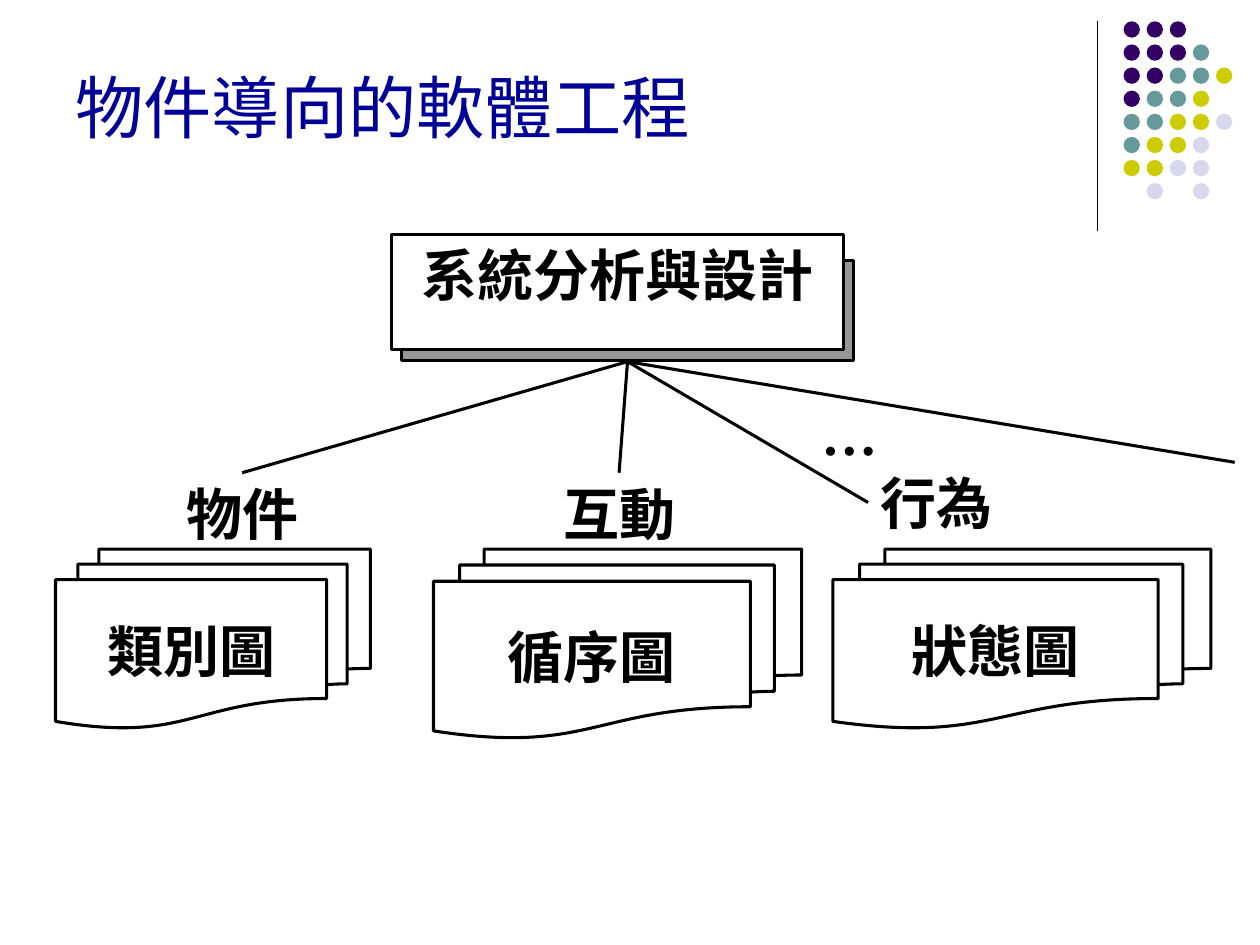
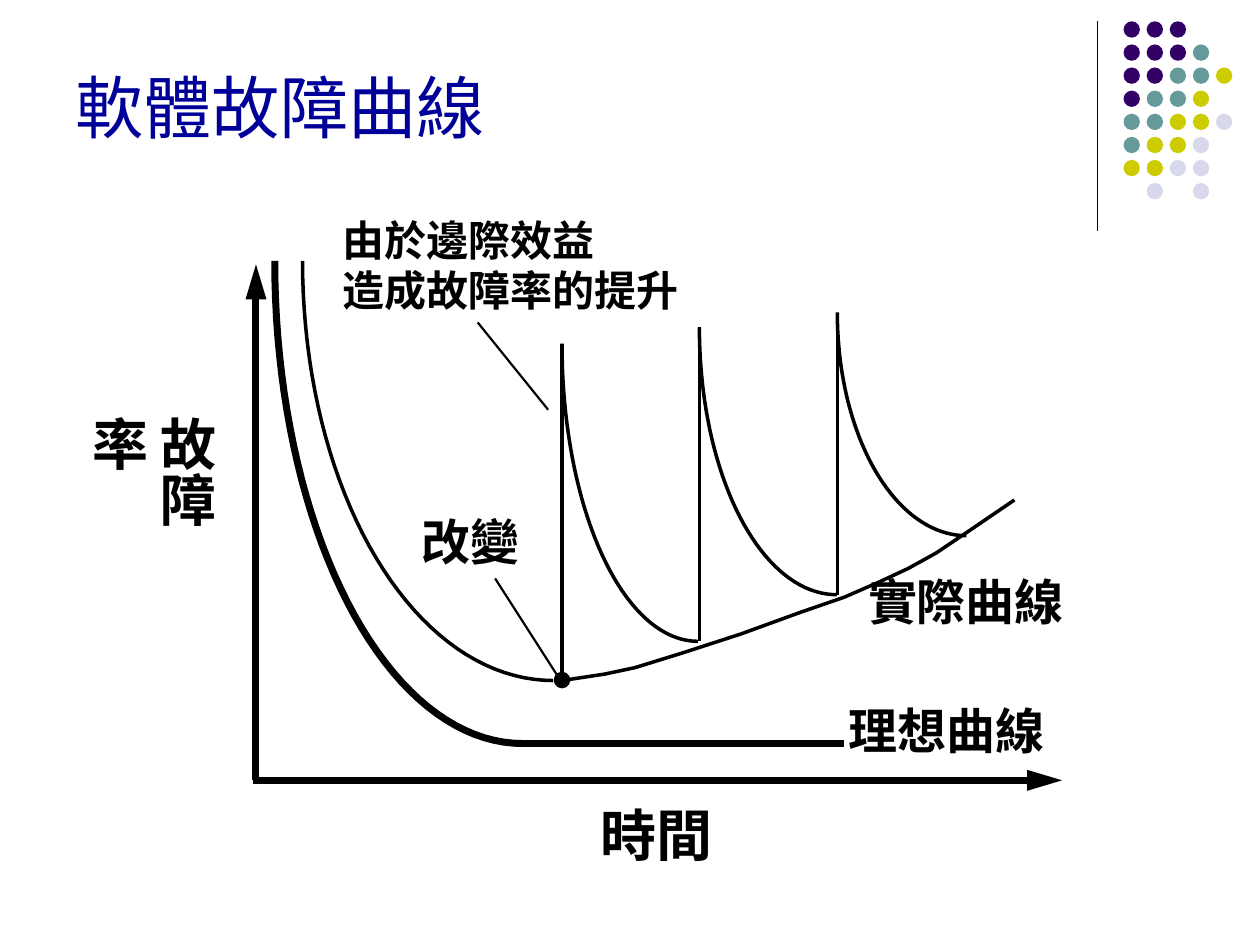
from dataclasses import dataclass
from math import cos, pi, sin
from typing import NamedTuple

from lxml import etree
from pptx import Presentation
from pptx.dml.color import RGBColor
from pptx.enum.shapes import MSO_CONNECTOR as Link, MSO_SHAPE as Preset
from pptx.enum.text import MSO_ANCHOR as Anchor, PP_ALIGN as Align
from pptx.oxml.ns import qn
from pptx.util import Cm, Pt


@dataclass(frozen=True)
class Theme:
    black: str = "000000"
    white: str = "FFFFFF"
    title: str = "000099"
    shadow: str = "969696"
    dots: tuple = ("330066", "669999", "CCCC00", "D8D8EC")
    sans: str = "Arial"
    serif: str = "Times New Roman"
    cjk: str = "Noto Sans CJK SC"
    title_size: float = 39
    large: float = 32
    medium: float = 28
    small: float = 24
    hairline: float = 0.75
    leader: float = 1.25
    outline: float = 1.75
    curve: float = 2
    heavy: float = 4


T = Theme()


class Point(NamedTuple):
    x: float
    y: float


class Box(NamedTuple):
    x: float
    y: float
    w: float
    h: float

    def lengths(self) -> list:
        return [Cm(v) for v in self]


class Style(NamedTuple):
    font: str = T.sans
    size: float = T.large
    color: str = T.black
    bold: bool = True
    east_asian: str = T.sans


class Label(NamedTuple):
    text: str
    box: Box
    style: Style


class Spike(NamedTuple):
    """A jump of the failure rate, then its decay to the point end."""
    top: Point
    bottom: float
    end: Point


SERIF = Style(font=T.serif)
TITLE = Style(T.cjk, T.title_size, T.title, False, T.cjk)
CURVE_LABEL = Style(size=T.medium)

TITLE_BOX = Box(1.27, 0.36, 20.62, 3.58)
DOT_ROWS = ("000", "0001", "00112", "0112", "11223", "1223", "2233", " 3 3")
DOT_PITCH = 3.26 / 7
DOT_ORIGIN = Point(22.65, 0.43)
DOT_SIZE = 0.33

HUB = Point(12.65, 7.29)
BRANCH_ENDS = (Point(12.48, 9.53), Point(4.88, 9.53),
               Point(17.5, 10.13), Point(24.89, 9.32))
VIEWS = (
    Label("互動", Box(11.11, 9.53, 2.77, 1.63), SERIF),
    Label("物件", Box(3.51, 9.53, 2.77, 1.63), SERIF),
    Label("行為", Box(17.5, 9.32, 2.77, 1.63), SERIF),
    Label("…", Box(16.31, 7.92, 1.4, 1.63), SERIF),
)
DIAGRAMS = (
    Label("循序圖", Box(8.74, 11.07, 7.42, 3.81), SERIF),
    Label("類別圖", Box(1.12, 11.07, 6.35, 3.61), SERIF),
    Label("狀態圖", Box(16.79, 11.07, 7.62, 3.61), SERIF),
)

SPIKES = (
    Spike(Point(11.33, 6.93), 13.64, Point(14.07, 12.93)),
    Spike(Point(14.1, 6.6), 12.93, Point(16.87, 11.99)),
    Spike(Point(16.88, 6.3), 11.99, Point(19.48, 10.8)),
)
TREND = [Point(*xy) for xy in (
    (11.33, 13.72), (12.19, 13.59), (12.8, 13.46), (13.77, 13.16),
    (14.94, 12.78), (16.15, 12.34), (17.02, 12.04), (17.73, 11.73),
    (18.31, 11.46), (18.87, 11.15), (19.51, 10.72), (20.45, 10.08))]
CHART_LABELS = (
    Label("理想曲線", Box(17.1, 14.12, 4.3, 1.19), CURVE_LABEL),
    Label("改變", Box(8.5, 10.32, 2.2, 1.19), CURVE_LABEL),
    Label("實際曲線", Box(17.5, 11.53, 4.3, 1.19), CURVE_LABEL),
    Label("時間", Box(12.1, 16.13, 2.5, 1.35), Style()),
    Label("由於邊際效益\n造成故障率的提升", Box(6.91, 4.32, 7, 2.03),
          Style(size=T.small)),
)


def rgb(color: str) -> RGBColor:
    return RGBColor.from_string(color)


def apply(target, values: dict) -> None:
    for name, value in values.items():
        setattr(target, name, value)


def write(tf, text: str, style: Style, align=Align.LEFT, anchor=Anchor.TOP,
          wrap: bool = False, inset: tuple = (0.25, 0.13)) -> None:
    side, end = map(Cm, inset)
    apply(tf, {"word_wrap": wrap, "vertical_anchor": anchor,
               "margin_left": side, "margin_right": side,
               "margin_top": end, "margin_bottom": end})
    tf.text = text
    for p in tf.paragraphs:
        p.alignment = align
        for r in p.runs:
            apply(r.font, {"name": style.font, "size": Pt(style.size),
                           "bold": style.bold})
            r.font.color.rgb = rgb(style.color)
            ea = etree.SubElement(r.font._element, qn("a:ea"))
            ea.set("typeface", style.east_asian)


def add_text(s, label: Label, **layout):
    tf = s.shapes.add_textbox(*label.box.lengths()).text_frame
    write(tf, label.text, label.style, **layout)
    return tf


def paint(sp, fill: str | None, width: float | None) -> None:
    """Set fill and black outline; None leaves either one out."""
    sp.shadow.inherit = False
    if fill:
        sp.fill.solid()
        sp.fill.fore_color.rgb = rgb(fill)
    else:
        sp.fill.background()
    if width:
        sp.line.color.rgb = rgb(T.black)
        sp.line.width = Pt(width)
    else:
        sp.line.fill.background()


def add_preset(s, preset, box: Box, fill: str | None = None,
               width: float | None = None):
    sp = s.shapes.add_shape(preset, *box.lengths())
    paint(sp, fill, width)
    return sp


def add_line(s, start: Point, end: Point, width: float,
             arrow: bool = False) -> None:
    line = s.shapes.add_connector(Link.STRAIGHT, *map(Cm, (*start, *end)))
    line.line.color.rgb = rgb(T.black)
    line.line.width = Pt(width)
    if arrow:
        head = etree.SubElement(line.line._get_or_add_ln(), qn("a:tailEnd"))
        for name, value in {"type": "triangle", "w": "med", "len": "lg"}.items():
            head.set(name, value)
    etree.SubElement(line._element.spPr, qn("a:effectLst"))


def add_path(s, points: list[Point], width: float) -> None:
    start, *rest = [(Cm(p.x), Cm(p.y)) for p in points]
    builder = s.shapes.build_freeform(*start)
    builder.add_line_segments(rest, close=False)
    paint(builder.convert_to_shape(), None, width)


def add_decay(s, top: Point, end: Point, width: float, steps: int = 40) -> None:
    """Draw a quarter ellipse that falls from top and levels off at end."""
    angles = [pi / 2 * i / steps for i in range(steps + 1)]
    add_path(s, [Point(end.x - (end.x - top.x) * cos(a),
                       top.y + (end.y - top.y) * sin(a)) for a in angles], width)


def new_slide(prs, title: str):
    s = prs.slides.add_slide(prs.slide_layouts[6])
    add_line(s, Point(22.12, 0.43), Point(22.12, 4.65), T.hairline)
    for row, codes in enumerate(DOT_ROWS):
        for col, code in enumerate(codes):
            if code != " ":
                box = Box(DOT_ORIGIN.x + col * DOT_PITCH,
                          DOT_ORIGIN.y + row * DOT_PITCH, DOT_SIZE, DOT_SIZE)
                add_preset(s, Preset.OVAL, box, T.dots[int(code)])
    add_text(s, Label(title, TITLE_BOX, TITLE), anchor=Anchor.MIDDLE, wrap=True)
    return s


def engineering_slide(prs) -> None:
    s = new_slide(prs, "物件導向的軟體工程")
    add_preset(s, Preset.RECTANGLE, Box(8.1, 5.26, 9.1, 2.01), T.shadow, T.outline)
    root = add_preset(s, Preset.RECTANGLE, Box(7.9, 4.72, 9.1, 2.32),
                      T.white, T.outline)
    write(root.text_frame, "系統分析與設計", Style(), Align.CENTER, wrap=True)
    for view in VIEWS:
        add_text(s, view)
    for end in BRANCH_ENDS:
        add_line(s, HUB, end, T.outline)
    for text, box, style in DIAGRAMS:
        sp = add_preset(s, Preset.FLOWCHART_MULTIDOCUMENT, box, width=T.outline)
        write(sp.text_frame, text, style, Align.CENTER, Anchor.MIDDLE)


def failure_slide(prs) -> None:
    s = new_slide(prs, "軟體故障曲線")
    add_line(s, Point(5.16, 15.72), Point(5.16, 5.33), T.heavy, arrow=True)
    add_line(s, Point(5.11, 15.73), Point(21.41, 15.73), T.heavy, arrow=True)
    add_decay(s, Point(5.54, 5.26), Point(10.54, 14.99), T.heavy)
    add_line(s, Point(10.46, 14.99), Point(17.02, 14.99), T.heavy)
    add_decay(s, Point(6.1, 5.26), Point(11.15, 13.72), T.curve)
    for top, bottom, end in SPIKES:
        add_line(s, Point(top.x, bottom), top, T.curve)
        add_decay(s, top, end, T.curve)
    add_path(s, TREND, T.curve)
    add_preset(s, Preset.OVAL, Box(11.18, 13.56, 0.3, 0.3), T.black, 1)
    add_line(s, Point(9.98, 11.66), Point(11.25, 13.64), T.leader)
    add_line(s, Point(11.05, 8.26), Point(9.63, 6.5), T.leader)
    for label in CHART_LABELS:
        add_text(s, label, inset=(0, 0))
    axis = Label("故障率", Box(1.36, 8.14, 3.2, 3.19), Style())
    tf = add_text(s, axis, wrap=True, inset=(0.13, 0.25))
    tf._txBody.bodyPr.set("vert", "eaVert")


def main() -> None:
    prs = Presentation()
    apply(prs, {"slide_width": Cm(25.4), "slide_height": Cm(19.05)})
    engineering_slide(prs)
    failure_slide(prs)
    prs.save("out.pptx")


if __name__ == "__main__":
    main()
